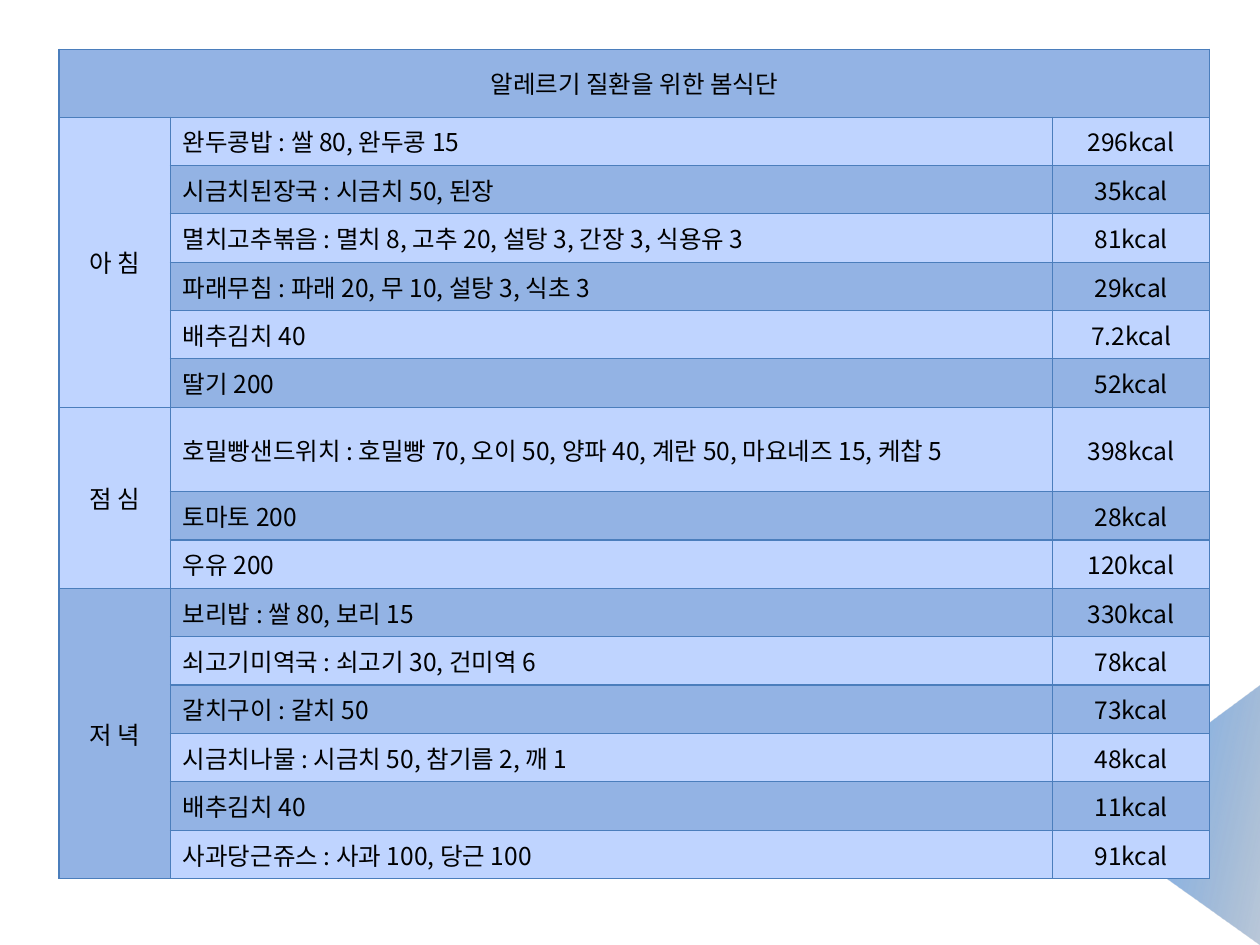
from lxml import etree
from pptx import Presentation
from pptx.dml.color import RGBColor
from pptx.enum import shapes, text
from pptx.oxml import parse_xml
from pptx.oxml.ns import nsdecls, qn
from pptx.util import Cm, Pt

COLORS = {
    "light": "BFD4FF",
    "dark": "93B3E4",
    "border": "4B7EBC",
    "ink": "000000",
    "deep": "1D4B82",
    "mid": "2E7EDE",
    "pale": "88ADED",
}
TITLE = "알레르기 질환을 위한 봄식단"
MEALS = [
    ("아 침", "light", [
        ("완두콩밥 : 쌀 80, 완두콩 15", "296kcal"),
        ("시금치된장국 : 시금치 50, 된장", "35kcal"),
        ("멸치고추볶음 : 멸치 8, 고추 20, 설탕 3, 간장 3, 식용유 3", "81kcal"),
        ("파래무침 : 파래 20, 무 10, 설탕 3, 식초 3", "29kcal"),
        ("배추김치 40", "7.2kcal"),
        ("딸기 200", "52kcal"),
    ]),
    ("점 심", "light", [
        ("호밀빵샌드위치 : 호밀빵 70, 오이 50, 양파 40, 계란 50, 마요네즈 15, 케찹 5", "398kcal"),
        ("토마토 200", "28kcal"),
        ("우유 200", "120kcal"),
    ]),
    ("저 녁", "dark", [
        ("보리밥 : 쌀 80, 보리 15", "330kcal"),
        ("쇠고기미역국 : 쇠고기 30, 건미역 6", "78kcal"),
        ("갈치구이 : 갈치 50", "73kcal"),
        ("시금치나물 : 시금치 50, 참기름 2, 깨 1", "48kcal"),
        ("배추김치 40", "11kcal"),
        ("사과당근쥬스 : 사과 100, 당근 100", "91kcal"),
    ]),
]


class MenuSlide:
    font = "Noto Sans CJK KR"
    size = Pt(14)
    indent = Cm(0.96)

    def __init__(self, prs):
        self.s = prs.slides.add_slide(prs.slide_layouts[6])

    def triangle(self, left, top, width, height, stops, angle):
        sp = self.s.shapes.add_shape(
            shapes.MSO_SHAPE.ISOSCELES_TRIANGLE, Cm(left), Cm(top), Cm(width), Cm(height))
        sp.shadow.inherit = False
        sp.adjustments[0] = 0.51
        sp.rotation = 90
        sp.line.fill.background()
        spPr = sp._element.spPr
        spPr.find(qn("a:xfrm")).set("flipV", "1")
        gs = "".join(
            f'<a:gs pos="{pos * 1000}"><a:srgbClr val="{COLORS[color]}">'
            f'<a:alpha val="{alpha * 1000}"/></a:srgbClr></a:gs>'
            for pos, color, alpha in stops)
        spPr.find(qn("a:prstGeom")).addnext(parse_xml(
            f'<a:gradFill {nsdecls("a")} rotWithShape="1"><a:gsLst>{gs}</a:gsLst>'
            f'<a:lin ang="{angle * 60000}" scaled="0"/></a:gradFill>'))

    def table(self, left, top, widths, heights):
        frame = self.s.shapes.add_table(
            len(heights), len(widths), Cm(left), Cm(top), Cm(sum(widths)), Cm(sum(heights)))
        tbl = frame.table
        for column, width in zip(tbl.columns, widths):
            column.width = Cm(width)
        for row, height in zip(tbl.rows, heights):
            row.height = Cm(height)
        for cell in tbl.iter_cells():
            self.borders(cell)
        return tbl

    def borders(self, cell):
        tcPr = cell._tc.get_or_add_tcPr()
        for side in ("lnL", "lnR", "lnT", "lnB"):
            ln = etree.SubElement(tcPr, qn(f"a:{side}"), w=str(Pt(0.75)))
            fill = etree.SubElement(ln, qn("a:solidFill"))
            etree.SubElement(fill, qn("a:srgbClr"), val=COLORS["border"])

    def cell(self, cell, content, color, align=text.PP_ALIGN.CENTER):
        cell.fill.solid()
        cell.fill.fore_color.rgb = RGBColor.from_string(COLORS[color])
        cell.vertical_anchor = text.MSO_ANCHOR.MIDDLE
        p = cell.text_frame.paragraphs[0]
        p.alignment = align
        pPr = p._p.get_or_add_pPr()
        pPr.set("marL", str(self.indent))
        pPr.set("indent", str(-self.indent))
        r = p.add_run()
        r.text = content
        r.font.size = self.size
        r.font.name = self.font
        r.font.color.rgb = RGBColor.from_string(COLORS["ink"])
        etree.SubElement(r._r.get_or_add_rPr(), qn("a:ea"), typeface=self.font)


def main():
    prs = Presentation()
    prs.slide_width, prs.slide_height = Cm(25.4), Cm(19.05)
    menu = MenuSlide(prs)
    menu.triangle(20.98, 14.63, 5.26, 3.61,
                  [(0, "deep", 30), (60, "mid", 60), (100, "pale", 100)], 258)

    heights = [1.37]
    for _, _, dishes in MEALS:
        heights += [1.7 if len(dish) > 40 else 0.97 for dish, _ in dishes]
    tbl = menu.table(1.19, 0.99, [2.24, 17.79, 3.17], heights)

    tbl.cell(0, 0).merge(tbl.cell(0, 2))
    menu.cell(tbl.cell(0, 0), TITLE, "dark")
    row = 1
    for meal, color, dishes in MEALS:
        tbl.cell(row, 0).merge(tbl.cell(row + len(dishes) - 1, 0))
        menu.cell(tbl.cell(row, 0), meal, color)
        for dish, energy in dishes:
            band = "light" if row % 2 else "dark"
            menu.cell(tbl.cell(row, 1), dish, band, text.PP_ALIGN.LEFT)
            menu.cell(tbl.cell(row, 2), energy, band)
            row += 1

    prs.save("out.pptx")


if __name__ == "__main__":
    main()
